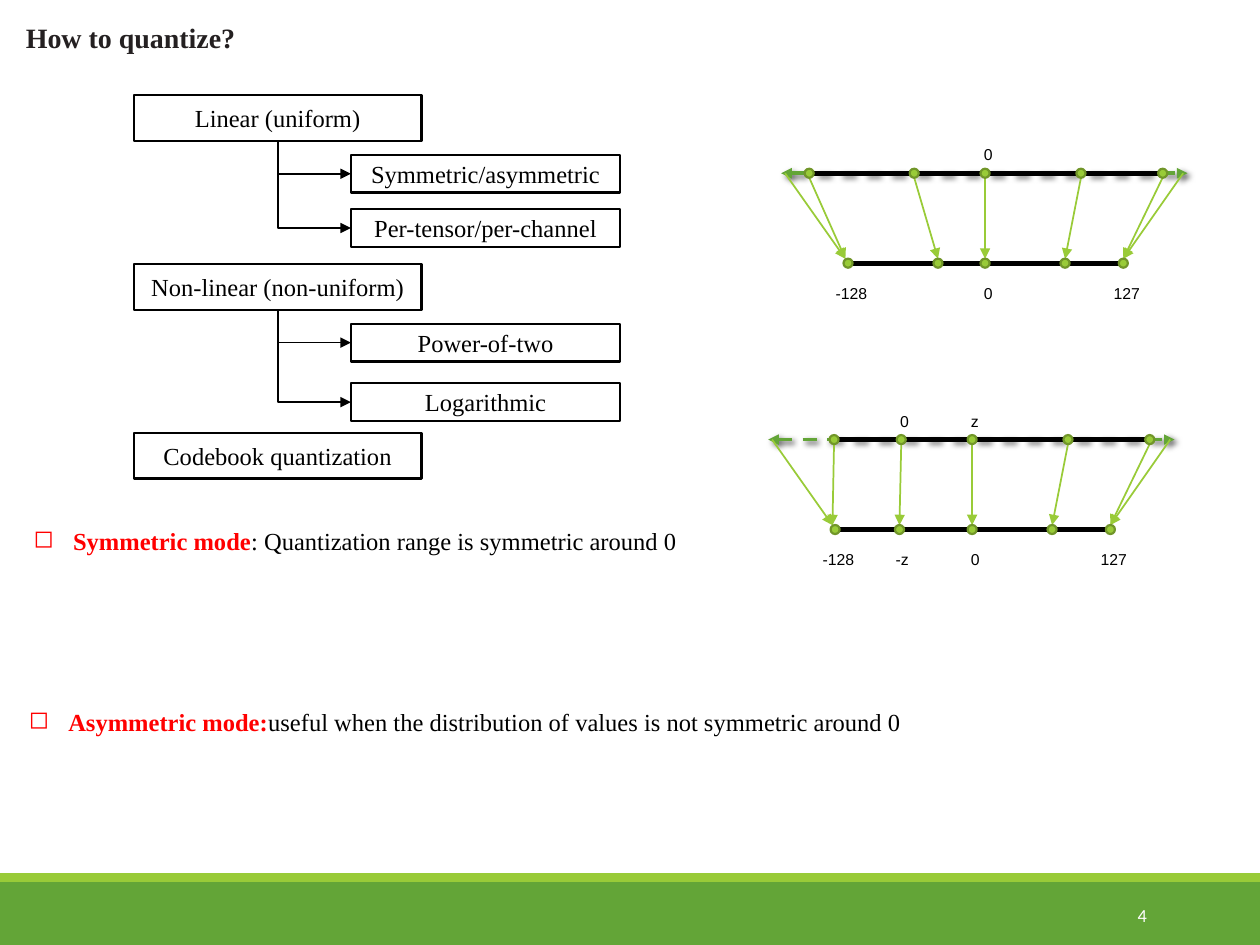
from dataclasses import dataclass

from lxml import etree
from pptx import Presentation
from pptx.dml.color import RGBColor
from pptx.enum.dml import MSO_LINE
from pptx.enum.shapes import MSO_CONNECTOR, MSO_SHAPE
from pptx.enum.text import MSO_ANCHOR, PP_ALIGN
from pptx.oxml.ns import qn
from pptx.util import Pt

RECT, OVAL = MSO_SHAPE.RECTANGLE, MSO_SHAPE.OVAL
STRAIGHT, ELBOW = MSO_CONNECTOR.STRAIGHT, MSO_CONNECTOR.ELBOW
LEFT, CENTER, RIGHT = PP_ALIGN.LEFT, PP_ALIGN.CENTER, PP_ALIGN.RIGHT
TOP, MIDDLE = MSO_ANCHOR.TOP, MSO_ANCHOR.MIDDLE
DASH = MSO_LINE.DASH


@dataclass(frozen=True)
class Theme:
    white: str = "FFFFFF"
    black: str = "000000"
    title: str = "242021"
    red: str = "FF0000"
    green: str = "63A537"
    lime: str = "99CB38"
    olive: str = "719629"
    serif: str = "Times New Roman"
    sans: str = "Arial"
    number_face: str = "Calibri"
    title_size: float = 16
    body_size: float = 14
    number_size: float = 10.5
    label_size: float = 9


T = Theme()
BODY = dict(name=T.serif, size=Pt(T.body_size))


def rgb(value):
    return RGBColor.from_string(value)


def write(tf, runs, align=LEFT, anchor=TOP, wrap=True):
    for key, value in dict(word_wrap=wrap, vertical_anchor=anchor).items():
        setattr(tf, key, value)
    p = tf.paragraphs[0]
    p.alignment = align
    for text, color, style in runs:
        r = p.add_run()
        r.text = text
        for key, value in style.items():
            setattr(r.font, key, value)
        r.font.color.rgb = rgb(color)
    return p


def textbox(shapes, box, runs, **layout):
    sp = shapes.add_textbox(*map(Pt, box))
    return write(sp.text_frame, runs, **layout)


def shape(shapes, kind, box, fill, line=None):
    sp = shapes.add_shape(kind, *map(Pt, box))
    sp.shadow.inherit = False
    sp.fill.solid()
    sp.fill.fore_color.rgb = rgb(fill)
    if line:
        sp.line.color.rgb = rgb(line)
        sp.line.width = Pt(1.25)
    else:
        sp.line.fill.background()
    return sp


def connector(shapes, start, end, color, width, ends=(), dash=None, shadow=False, kind=STRAIGHT):
    c = shapes.add_connector(kind, *map(Pt, (*start, *end)))
    c.line.color.rgb = rgb(color)
    c.line.width = Pt(width)
    if dash:
        c.line.dash_style = dash
    for tag in ends:
        etree.SubElement(c.line._get_or_add_ln(), qn(f"a:{tag}"), type="triangle")
    effects = etree.SubElement(c.element.spPr, qn("a:effectLst"))
    if shadow:
        outer = etree.SubElement(effects, qn("a:outerShdw"), blurRad=str(Pt(3)),
                                 dist=str(Pt(2)), dir="2700000", algn="tl", rotWithShape="0")
        shade = etree.SubElement(outer, qn("a:srgbClr"), val=T.black)
        etree.SubElement(shade, qn("a:alpha"), val="60000")
    return c


def down_then_right(shapes, start, end):
    (x1, y1), (x2, y2) = start, end
    cx, cy, dx, dy = (x1 + x2) / 2, (y1 + y2) / 2, x2 - x1, y2 - y1
    c = connector(shapes, (cx - dy / 2, cy - dx / 2), (cx + dy / 2, cy + dx / 2),
                  T.black, 1, ["tailEnd"], kind=ELBOW)
    xfrm = c.element.spPr.find(qn("a:xfrm"))
    xfrm.set("rot", "16200000")
    xfrm.set("flipH", "1")
    c.element.spPr.find(qn("a:prstGeom")).set("prst", "bentConnector2")


def footer(shapes, x, y, w, h):
    shape(shapes, RECT, (x, y + 5, w, h - 5), T.green)
    shape(shapes, RECT, (x, y, w, 5), T.lime)
    style = dict(name=T.number_face, size=Pt(T.number_size))
    textbox(shapes, (x + w - 135.4, y + 9.5, 77.8, 28.8), [("4", T.white, style)],
            align=RIGHT, anchor=MIDDLE)


def method_tree(shapes, x, y, methods):
    parent_w, parent_h, child_w, child_h, step = 164.4, 26, 154, 21.6, 96.5

    def node(box, text):
        sp = shape(shapes, RECT, box, T.white, T.black)
        write(sp.text_frame, [(text, T.black, BODY)], CENTER, MIDDLE)

    for i, (method, children) in enumerate(methods):
        top = y + i * step
        node((x, top, parent_w, parent_h), method)
        for name, offset in children:
            child_x, child_y = x + 124, top + offset
            node((child_x, child_y, child_w, child_h), name)
            down_then_right(shapes, (x + parent_w / 2, top + parent_h),
                            (child_x, child_y + child_h / 2))


def mode_note(shapes, box, mode, text):
    p = textbox(shapes, box, [(mode, T.red, dict(BODY, bold=True)), (text, T.black, BODY)],
                wrap=False)
    pPr = p._p.get_or_add_pPr()
    pPr.set("marL", str(Pt(22.5)))
    pPr.set("indent", str(-Pt(22.5)))
    etree.SubElement(pPr, qn("a:buChar"), char="◻")


def range_map(shapes, x, y, w, h, real, quantized, real_labels, quantized_labels):
    g = shapes.add_group_shape().shapes
    low = y + h
    real = [x + d for d in real]
    quantized = [x + d for d in quantized]
    first, last = quantized[0] - 1.5, quantized[-1]

    connector(g, (x, y), (x + w, y), T.green, 2, ["headEnd", "tailEnd"], DASH, True)
    for level, dots in ((y, real), (low, quantized)):
        connector(g, (dots[0], level), (dots[-1], level), T.black, 3)

    targets = [first, *quantized[1:]]
    arrows = [((x + 2.2, y), (first, low - 2.5)), ((x + w - 2.5, y), (last, low - 2.5))]
    arrows += [((a, y + 2.5), (b, low - 2.5)) for a, b in zip(real, targets)]
    for start, end in arrows:
        connector(g, start, end, T.lime, 1, ["tailEnd"])

    size = 5.2
    for level, dots in ((y, real), (low, quantized)):
        for dot in dots:
            shape(g, OVAL, (dot - size / 2, level - size / 2, size, size), T.lime, T.olive)

    style = dict(name=T.sans, size=Pt(T.label_size))
    for dots, labels, top in ((real, real_labels, y - 19.7), (quantized, quantized_labels, low + 8)):
        for i, label in labels.items():
            width = 14.4 + 5 * len(label) - 2 * label.startswith("-")
            textbox(g, (dots[i] + 2 - width / 2, top, width, 18), [(label, T.black, style)],
                    wrap=False)


def main():
    prs = Presentation()
    prs.slide_width, prs.slide_height = Pt(720), Pt(540)
    s = prs.slides.add_slide(prs.slide_layouts[6])
    s.background.fill.solid()
    s.background.fill.fore_color.rgb = rgb(T.white)
    shapes = s.shapes

    footer(shapes, 0, 499, 720, 41)
    title_style = dict(name=T.serif, size=Pt(T.title_size), bold=True)
    textbox(shapes, (7.7, 8, 360, 26.6), [("How to quantize?", T.title, title_style)])
    method_tree(shapes, 76.5, 54.5, [
        ("Linear (uniform)", [("Symmetric/asymmetric", 34), ("Per-tensor/per-channel", 65)]),
        ("Non-linear (non-uniform)", [("Power-of-two", 34), ("Logarithmic", 68)]),
        ("Codebook quantization", []),
    ])
    mode_note(shapes, (12.2, 296.8, 384.5, 24.2), "Symmetric mode",
              ": Quantization range is symmetric around 0")
    mode_note(shapes, (9.4, 400.3, 517, 24.2), "Asymmetric mode:",
              "useful when the distribution of values is not symmetric around 0")

    range_map(shapes, 446.4, 99, 232.2, 51.4,
              (16, 76, 116.5, 171.3, 218), (38.2, 89.6, 116.5, 162.2, 195.5),
              {2: "0"}, {0: "-128", 2: "0", 4: "127"})
    range_map(shapes, 439, 251.2, 232.2, 51.4,
              (37.6, 76, 116.5, 171.3, 218), (38.2, 75, 116.5, 162.2, 195.5),
              {1: "0", 2: "z"}, {0: "-128", 1: "-z", 2: "0", 4: "127"})
    prs.save("out.pptx")


if __name__ == "__main__":
    main()
